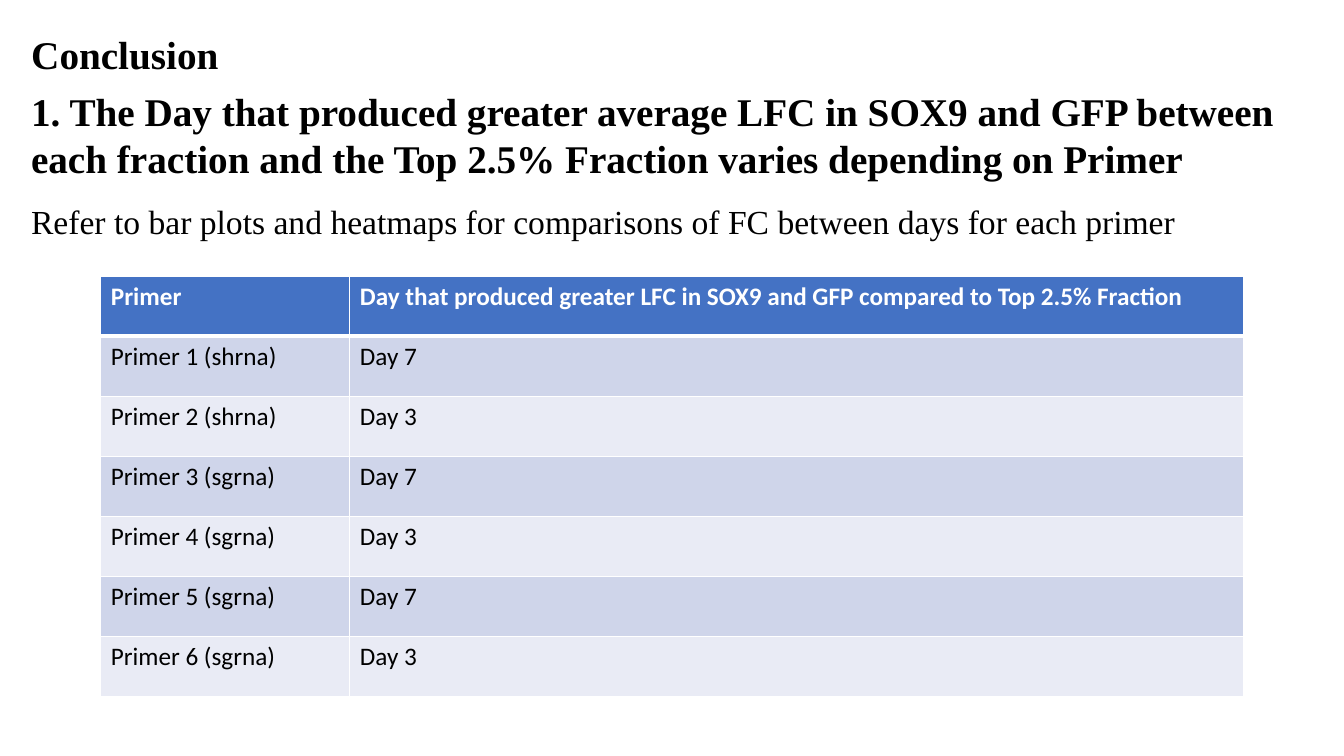
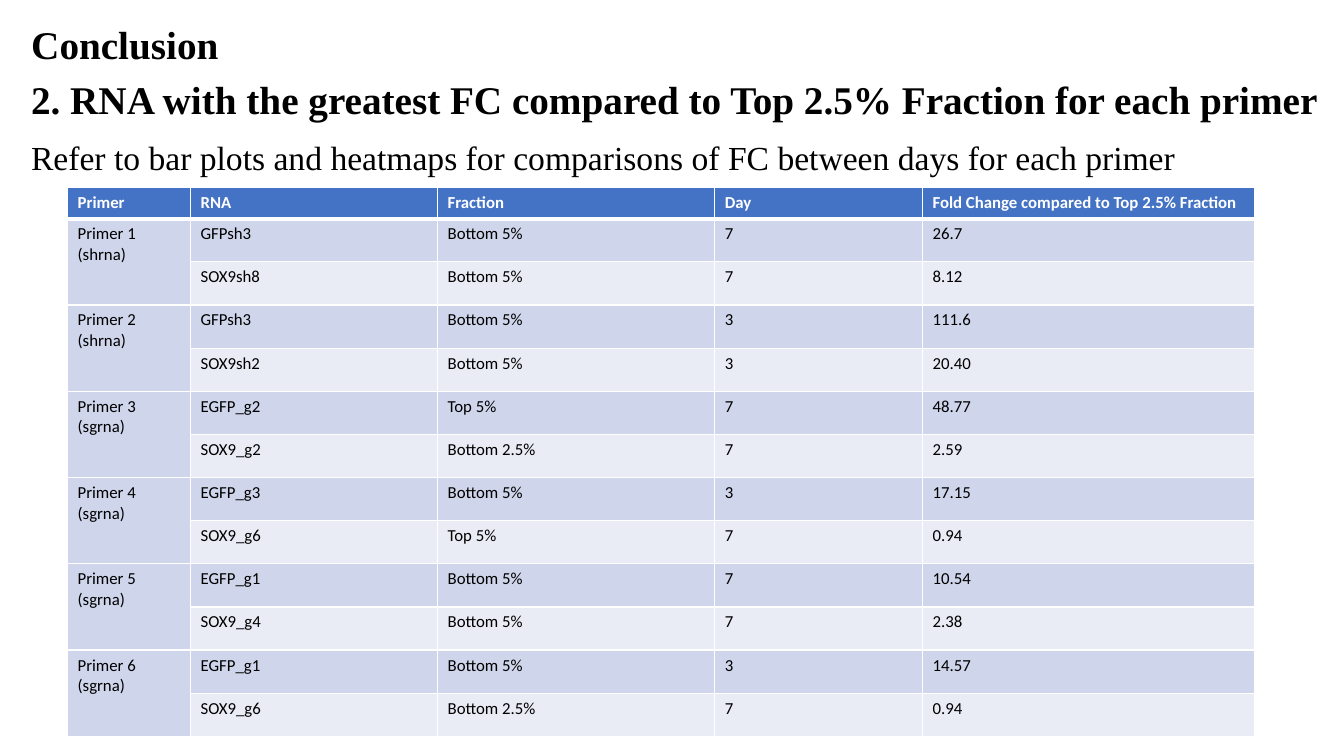
from dataclasses import dataclass

from lxml.etree import SubElement
from pptx import Presentation
from pptx.dml.color import RGBColor
from pptx.enum.text import MSO_ANCHOR, MSO_AUTO_SIZE, PP_ALIGN
from pptx.oxml.ns import qn
from pptx.util import Inches, Pt


@dataclass(frozen=True)
class Theme:
    text_font: str = "Times New Roman"
    table_font: str = "Calibri"
    black: str = "000000"
    white: str = "FFFFFF"
    header_fill: str = "4472C4"
    odd_fill: str = "CFD5EA"
    even_fill: str = "E9EBF5"
    heading_size: int = 28
    note_size: int = 24
    thin_line: int = 1
    thick_line: int = 3
    left: float = 0.21
    line_height: float = 0.57
    title_width: float = 7.86
    text_width: float = 12.71


THEME = Theme()
TITLE_ONLY = 5

NOTE = ("Refer to bar plots and heatmaps for comparisons of FC between days "
        "for each primer")

DAY_HEADER = ["Primer", "Day that produced greater LFC in SOX9 and GFP "
              "compared to Top 2.5% Fraction"]
DAY_ROWS = [
    ["Primer 1 (shrna)", "Day 7"],
    ["Primer 2 (shrna)", "Day 3"],
    ["Primer 3 (sgrna)", "Day 7"],
    ["Primer 4 (sgrna)", "Day 3"],
    ["Primer 5 (sgrna)", "Day 7"],
    ["Primer 6 (sgrna)", "Day 3"],
]

# An empty first cell belongs to the primer above it
RNA_HEADER = ["Primer", "RNA", "Fraction", "Day",
              "Fold Change compared to Top 2.5% Fraction"]
RNA_ROWS = [
    ["Primer 1 (shrna)", "GFPsh3", "Bottom 5%", "7", "26.7"],
    ["", "SOX9sh8", "Bottom 5%", "7", "8.12"],
    ["Primer 2 (shrna)", "GFPsh3", "Bottom 5%", "3", "111.6"],
    ["", "SOX9sh2", "Bottom 5%", "3", "20.40"],
    ["Primer 3 (sgrna)", "EGFP_g2", "Top 5%", "7", "48.77"],
    ["", "SOX9_g2", "Bottom 2.5%", "7", "2.59"],
    ["Primer 4 (sgrna)", "EGFP_g3", "Bottom 5%", "3", "17.15"],
    ["", "SOX9_g6", "Top 5%", "7", "0.94"],
    ["Primer 5 (sgrna)", "EGFP_g1", "Bottom 5%", "7", "10.54"],
    ["", "SOX9_g4", "Bottom 5%", "7", "2.38"],
    ["Primer 6 (sgrna)", "EGFP_g1", "Bottom 5%", "3", "14.57"],
    ["", "SOX9_g6", "Bottom 2.5%", "7", "0.94"],
]


# Text
def set_attributes(target, values):
    for name, value in values.items():
        setattr(target, name, value)


def format_font(font, name, size, color, bold):
    set_attributes(font, {"name": name, "size": Pt(size), "bold": bold})
    font.color.rgb = RGBColor.from_string(color)


def fill_frame(shape, text, size, bold):
    frame = shape.text_frame
    set_attributes(frame, {"text": text, "word_wrap": True,
                           "auto_size": MSO_AUTO_SIZE.SHAPE_TO_FIT_TEXT,
                           "vertical_anchor": MSO_ANCHOR.TOP})
    paragraph = frame.paragraphs[0]
    paragraph.alignment = PP_ALIGN.LEFT
    format_font(paragraph.font, THEME.text_font, size, THEME.black, bold)


def add_title(slide, text, top):
    title = slide.shapes.title
    set_attributes(title, {"left": Inches(THEME.left), "top": Inches(top),
                           "width": Inches(THEME.title_width),
                           "height": Inches(THEME.line_height)})
    fill_frame(title, text, THEME.heading_size, True)


def add_text(slide, text, top, width, height, size, bold=False):
    box = slide.shapes.add_textbox(Inches(THEME.left), Inches(top),
                                   Inches(width), Inches(height))
    fill_frame(box, text, size, bold)


# Tables
def add_borders(cell, top, bottom):
    properties = cell._tc.get_or_add_tcPr()
    widths = {"a:lnL": THEME.thin_line, "a:lnR": THEME.thin_line,
              "a:lnT": top, "a:lnB": bottom}
    for tag, width in widths.items():
        line = SubElement(properties, qn(tag), w=str(Pt(width)))
        fill = SubElement(line, qn("a:solidFill"))
        SubElement(fill, qn("a:srgbClr"), val=THEME.white)


def format_cell(cell, text, row_index, size):
    is_header = row_index == 0
    add_borders(cell,
                top=THEME.thick_line if row_index == 1 else THEME.thin_line,
                bottom=THEME.thick_line if is_header else THEME.thin_line)
    band = THEME.odd_fill if row_index % 2 else THEME.even_fill
    cell.fill.solid()
    cell.fill.fore_color.rgb = RGBColor.from_string(
        THEME.header_fill if is_header else band)
    cell.text = text
    format_font(cell.text_frame.paragraphs[0].font, THEME.table_font, size,
                THEME.white if is_header else THEME.black, is_header)


def add_data_table(slide, rows, left, top, column_widths, header_height,
                   row_height, size):
    heights = [header_height] + [row_height] * (len(rows) - 1)
    table = slide.shapes.add_table(
        len(rows), len(column_widths), Inches(left), Inches(top),
        Inches(sum(column_widths)), Inches(sum(heights))).table
    for column, width in zip(table.columns, column_widths):
        column.width = Inches(width)
    for row_index, values in enumerate(rows):
        table.rows[row_index].height = Inches(heights[row_index])
        for column_index, text in enumerate(values):
            format_cell(table.cell(row_index, column_index), text,
                        row_index, size)
        if not values[0]:
            table.cell(row_index - 1, 0).merge(table.cell(row_index, 0))


# Slides
def add_conclusion(presentation, finding, title_top, finding_top,
                   finding_width, finding_height, note_top, table):
    slide = presentation.slides.add_slide(
        presentation.slide_layouts[TITLE_ONLY])
    add_title(slide, "Conclusion", title_top)
    add_text(slide, finding, finding_top, finding_width, finding_height,
             THEME.heading_size, bold=True)
    add_data_table(slide, **table)
    add_text(slide, NOTE, note_top, THEME.text_width, 0.5, THEME.note_size)


def main():
    presentation = Presentation()
    set_attributes(presentation, {"slide_width": Inches(13.33),
                                  "slide_height": Inches(7.5)})

    # Day with the greater change for each primer
    day_row_height = 4.17 / (len(DAY_ROWS) + 1)
    add_conclusion(
        presentation,
        "1. The Day that produced greater average LFC in SOX9 and GFP between "
        "each fraction and the Top 2.5% Fraction varies depending on Primer",
        title_top=0.25, finding_top=0.82, finding_width=THEME.text_width,
        finding_height=1.04, note_top=1.94,
        table={"rows": [DAY_HEADER] + DAY_ROWS, "left": 1, "top": 2.74,
               "column_widths": [2.47, 8.86],
               "header_height": day_row_height,
               "row_height": day_row_height, "size": 18})

    # RNA with the greatest change for each primer
    add_conclusion(
        presentation,
        "2. RNA with the greatest FC compared to Top 2.5% Fraction for each "
        "primer",
        title_top=0.15, finding_top=0.7, finding_width=13.13,
        finding_height=THEME.line_height, note_top=1.31,
        table={"rows": [RNA_HEADER] + RNA_ROWS, "left": 0.67, "top": 1.86,
               "column_widths": [1.22, 2.45, 2.75, 2.06, 3.29],
               "header_height": 0.31,
               "row_height": (5.45 - 0.31) / len(RNA_ROWS), "size": 12})

    presentation.save("out.pptx")


if __name__ == "__main__":
    main()
